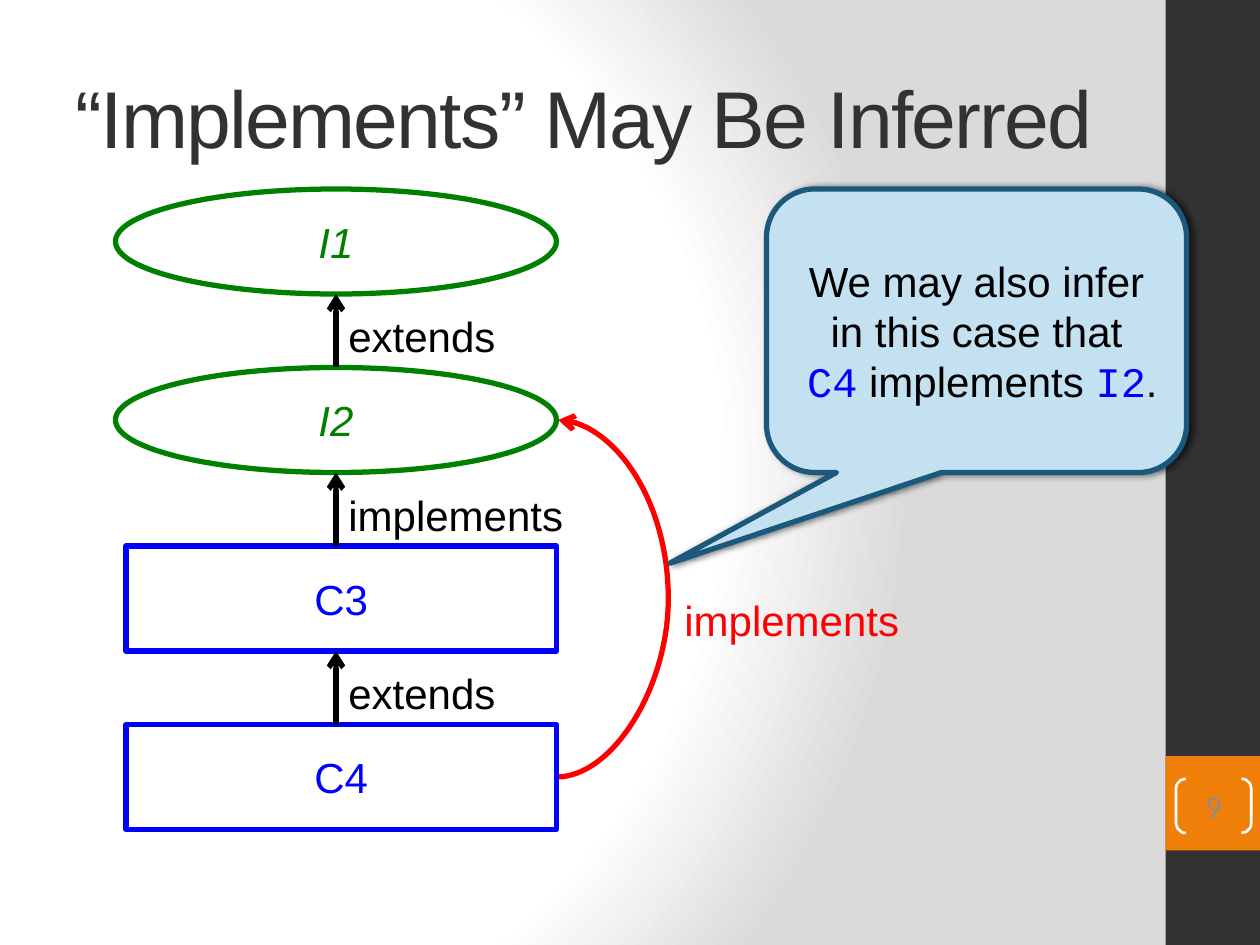
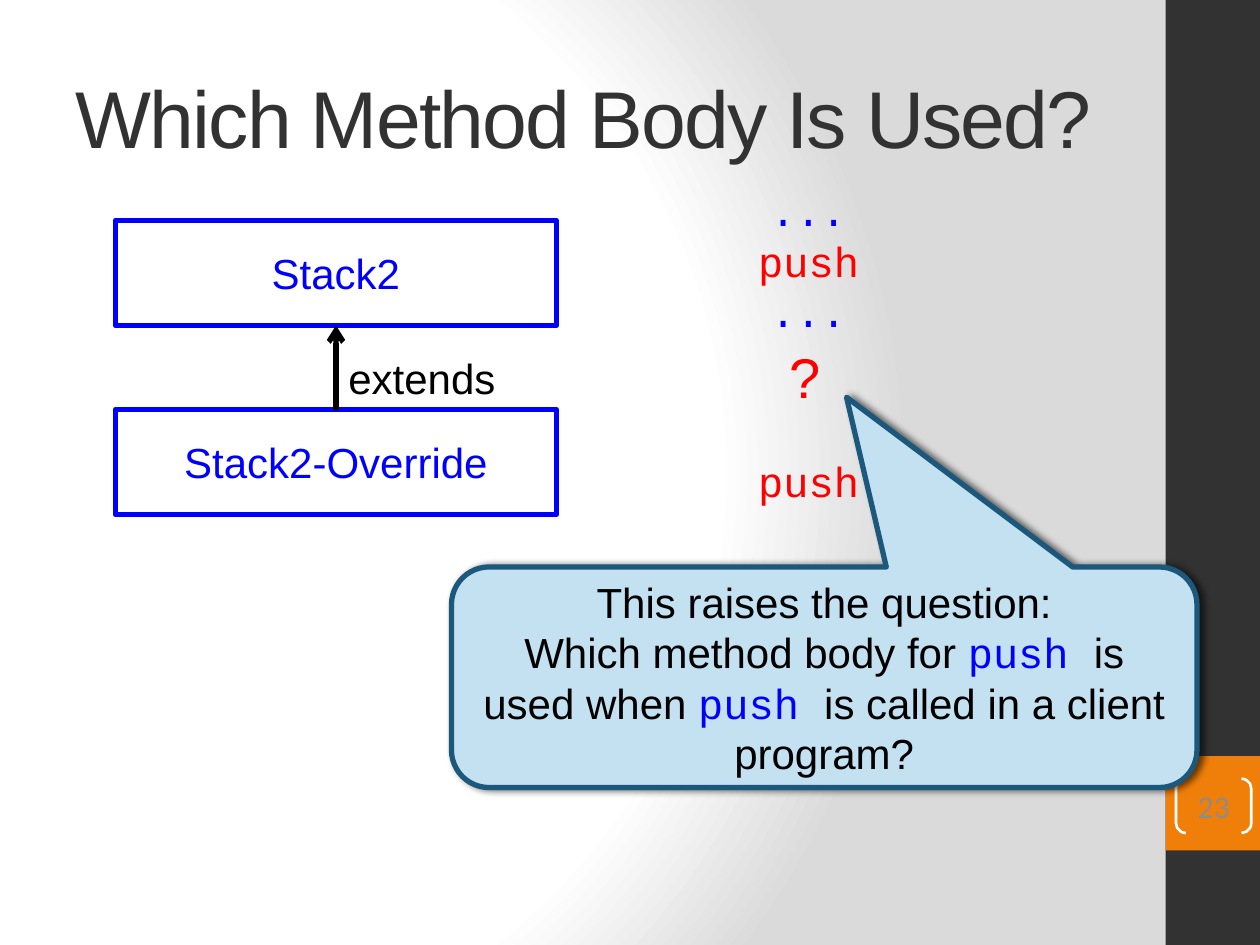
import lxml.etree
import pptx
import pptx.dml.color
import pptx.enum.shapes
import pptx.enum.text
import pptx.oxml.ns
import pptx.util

Pt = pptx.util.Pt
SHAPE = pptx.enum.shapes.MSO_SHAPE
CONNECTOR = pptx.enum.shapes.MSO_CONNECTOR
ALIGN = pptx.enum.text.PP_ALIGN
ANCHOR = pptx.enum.text.MSO_ANCHOR

GREEN, BLUE, RED, BLACK, WHITE = "008000", "0000FF", "FF0000", "000000", "FFFFFF"
DARK, ORANGE, GREY, PALE, NAVY = "323232", "F07F09", "8C8C8C", "C4E1F2", "1B587C"
BACKDROP = [(0, WHITE), (75, WHITE), (100, "DADADA")]

STYLES = {
    "label": ("Arial", 24, BLACK, False),
    "warning": ("Arial", 24, RED, False),
    "question": ("Arial", 32, RED, False),
    "interface": ("Arial", 24, GREEN, True),
    "class": ("Arial", 24, BLUE, False),
    "code": ("Courier New", 24, BLUE, False),
    "call": ("Courier New", 24, RED, False),
    "number": ("Calibri", 18, GREY, False),
}

BANDS = [((666, 0, 54, 540), DARK), ((666, 432, 54, 54), ORANGE)]
NODE_HEIGHT, ARROW_X, LABEL_HEIGHT = 60, 192, 36

SLIDES = [
    {
        "title": "“Implements” May Be Inferred",
        "number": "9",
        "top": 108,
        "pitch": 102,
        "nodes": [
            ("I1", "interface", 66, 252),
            ("I2", "interface", 66, 252),
            ("C3", "class", 72, 246),
            ("C4", "class", 72, 246),
        ],
        "relations": ["extends", "implements", "extends"],
        "inferred": {"start": (318, 444), "end": (319, 240), "bulge": 64.4},
        "texts": [((384, 336, 138, 36), [[("implements", "warning")]], ALIGN.LEFT)],
        "callout": {
            "box": (438, 108, 240, 162),
            "pointer": (-0.73, 0.82, 0.17),
            "paras": [
                [("We may also infer in this case that", "label")],
                [(" ", "label"), ("C4", "code"), (" implements ", "label"),
                 ("I2", "code"), (".", "label")],
            ],
        },
    },
    {
        "title": "Which Method Body Is Used?",
        "number": "23",
        "top": 126,
        "pitch": 108,
        "nodes": [
            ("Stack2", "class", 66, 252),
            ("Stack2-Override", "class", 66, 252),
        ],
        "relations": ["extends"],
        "inferred": None,
        "texts": [
            ((342, 102, 240, 94), [[("...", "code")], [("push", "call")], [("...", "code")]],
             ALIGN.CENTER),
            ((342, 257, 240, 36), [[("push", "call")]], ALIGN.CENTER),
            ((444, 192, 33, 46), [[("?", "question")]], ALIGN.LEFT),
        ],
        "callout": {
            "box": (258, 324, 426, 126),
            "pointer": (0.03, -1.27, 0.17),
            "paras": [
                [("This raises the question:", "label")],
                [("Which method body for ", "label"), ("push ", "code"),
                 ("is used when ", "label"), ("push ", "code"),
                 ("is called in a client program?", "label")],
            ],
        },
    },
]


def color(value):
    return pptx.dml.color.RGBColor.from_string(value)


def points(values):
    return [Pt(value) for value in values]


def add_node(parent, tag, **attributes):
    node = lxml.etree.SubElement(parent, pptx.oxml.ns.qn("a:" + tag))
    for name, value in attributes.items():
        node.set(name, str(value))
    return node


def set_font(font, style):
    name, size, shade, italic = STYLES[style]
    font.name, font.size, font.italic = name, Pt(size), italic
    font.color.rgb = color(shade)


def write(frame, paras, align=ALIGN.CENTER):
    for index, parts in enumerate(paras):
        para = frame.paragraphs[0] if index == 0 else frame.add_paragraph()
        para.alignment = align
        uniform = len({style for _, style in parts}) == 1
        if uniform:
            set_font(para.font, parts[0][1])
        for text, style in parts:
            span = para.add_run()
            span.text = text
            if not uniform:
                set_font(span.font, style)


def add_box(page, kind, box, fill=None, line=None, width=3):
    shape = page.shapes.add_shape(kind, *points(box))
    shape.shadow.inherit = False
    if fill:
        shape.fill.solid()
        shape.fill.fore_color.rgb = color(fill)
    else:
        shape.fill.background()
    if line:
        shape.line.color.rgb = color(line)
        shape.line.width = Pt(width)
    else:
        shape.line.fill.background()
    shape.text_frame.vertical_anchor = ANCHOR.MIDDLE
    return shape


def add_text(page, box, paras, align, wrap):
    frame = page.shapes.add_textbox(*points(box)).text_frame
    frame.word_wrap = wrap
    write(frame, paras, align)


def add_arrow(page, kind, start, end, shade):
    arrow = page.shapes.add_connector(kind, *points(start + end))
    arrow.line.color.rgb = color(shade)
    arrow.line.width = Pt(3)
    add_node(arrow.line._get_or_add_ln(), "tailEnd", type="arrow")
    add_node(arrow._element.spPr, "effectLst")
    return arrow


def add_chain(page, content):
    tops = [content["top"] + content["pitch"] * row for row in range(len(content["nodes"]))]
    for top, (name, style, left, width) in zip(tops, content["nodes"]):
        is_class = style == "class"
        shape = add_box(page, SHAPE.RECTANGLE if is_class else SHAPE.OVAL,
                        (left, top, width, NODE_HEIGHT),
                        WHITE if is_class else None, BLUE if is_class else GREEN)
        write(shape.text_frame, [[(name, style)]])
    for above, below, relation in zip(tops, tops[1:], content["relations"]):
        add_arrow(page, CONNECTOR.STRAIGHT, (ARROW_X, below),
                  (ARROW_X, above + NODE_HEIGHT), BLACK)
        add_text(page, (ARROW_X, below - LABEL_HEIGHT, 138, LABEL_HEIGHT),
                 [[(relation, "label")]], ALIGN.LEFT, False)


def add_inferred(page, curve):
    arrow = add_arrow(page, CONNECTOR.CURVE, curve["start"], curve["end"], RED)
    geometry = arrow._element.spPr.find(pptx.oxml.ns.qn("a:prstGeom"))
    for guides in list(geometry):
        geometry.remove(guides)
    ratio = curve["bulge"] / (curve["end"][0] - curve["start"][0])
    add_node(add_node(geometry, "avLst"), "gd", name="adj1", fmla=f"val {round(ratio * 100000)}")


def add_callout(page, callout):
    shape = add_box(page, SHAPE.ROUNDED_RECTANGULAR_CALLOUT, callout["box"], PALE, NAVY)
    for index, value in enumerate(callout["pointer"]):
        shape.adjustments[index] = value
    effects = shape._element.spPr.find(pptx.oxml.ns.qn("a:effectLst"))
    shadow = add_node(effects, "outerShdw", blurRad=Pt(4), dist=Pt(2), dir=0, rotWithShape=0)
    add_node(add_node(shadow, "srgbClr", val=BLACK), "alpha", val=60000)
    write(shape.text_frame, callout["paras"])


def add_number(page, number):
    shape = add_box(page, SHAPE.DOUBLE_BRACKET, (672, 445, 43, 31), None, WHITE, 1.5)
    shape.adjustments[0] = 0.18
    frame = shape.text_frame
    frame.margin_left = frame.margin_right = frame.margin_top = frame.margin_bottom = 0
    write(frame, [[(number, "number")]])


def style_layout(layout, page):
    layout.background.fill.gradient()
    gradient = layout._element.find(".//" + pptx.oxml.ns.qn("a:gradFill"))
    gradient.clear()
    stops = add_node(gradient, "gsLst")
    for position, shade in BACKDROP:
        add_node(add_node(stops, "gs", pos=position * 1000), "srgbClr", val=shade)
    add_node(add_node(gradient, "path", path="circle"), "fillToRect",
             l=20000, t=50000, r=100000, b=50000)

    for index, (box, fill) in enumerate(BANDS):
        band = add_box(page, SHAPE.RECTANGLE, box, fill)
        layout.shapes._spTree.insert(2 + index, band._element)

    title = layout.placeholders[0]
    title.left, title.top, title.width, title.height = points((36, 21.6, 600, 90))
    title.text_frame.vertical_anchor = ANCHOR.MIDDLE
    styles = title.text_frame._txBody.find(pptx.oxml.ns.qn("a:lstStyle"))
    level = add_node(styles, "lvl1pPr", algn="l")
    font = add_node(level, "defRPr", sz=4600, spc=-100)
    add_node(add_node(font, "solidFill"), "srgbClr", val=DARK)
    add_node(font, "latin", typeface="Arial")


def main():
    deck = pptx.Presentation()
    deck.slide_width, deck.slide_height = Pt(720), Pt(540)
    layout = deck.slide_layouts[5]
    pages = [deck.slides.add_slide(layout) for _ in SLIDES]
    style_layout(layout, pages[0])
    for page, content in zip(pages, SLIDES):
        page.shapes.title.text = content["title"]
        add_number(page, content["number"])
        if content["inferred"]:
            add_inferred(page, content["inferred"])
        add_chain(page, content)
        for box, paras, align in content["texts"]:
            add_text(page, box, paras, align, align == ALIGN.CENTER)
        add_callout(page, content["callout"])
    deck.save("out.pptx")


if __name__ == "__main__":
    main()
